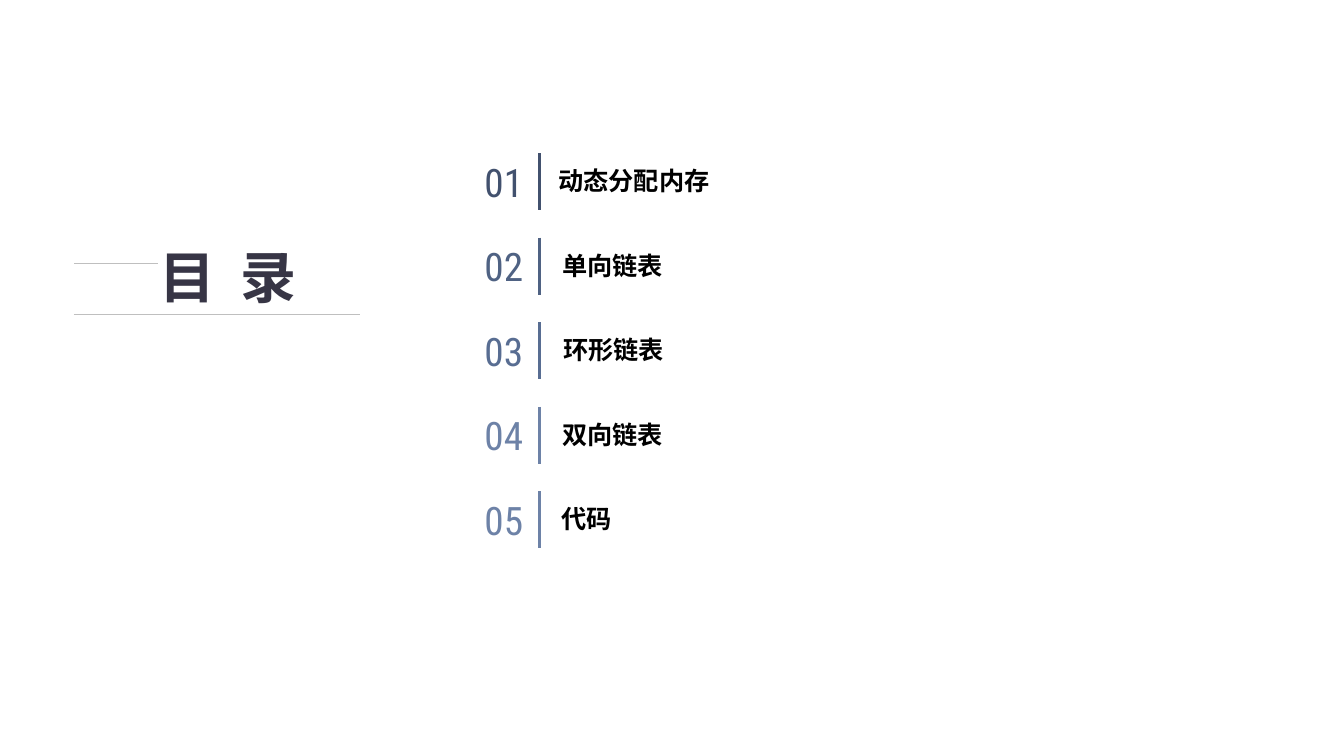
from pptx import Presentation
from pptx.dml.color import RGBColor
from pptx.enum.shapes import MSO_CONNECTOR as CONN
from pptx.enum.text import MSO_ANCHOR as ANCHOR
from pptx.util import Cm, Pt
from lxml import etree

GRAY = RGBColor(0xBF, 0xBF, 0xBF)
DARK = RGBColor(0x37, 0x35, 0x45)
BLACK = RGBColor(0, 0, 0)
NAVY = RGBColor(0x42, 0x51, 0x6E)
SLATE = RGBColor(0x4F, 0x62, 0x83)
STEEL = RGBColor(0x58, 0x6D, 0x92)
SKY = RGBColor(0x6D, 0x82, 0xA7)
A_NS = "http://schemas.openxmlformats.org/drawingml/2006/main"


def add_line(shapes, x1, y1, x2, y2, color, width):
    s = shapes.add_connector(CONN.STRAIGHT, Cm(x1), Cm(y1), Cm(x2), Cm(y2))
    s.line.color.rgb = color
    s.line.width = Pt(width)
    etree.SubElement(s._element.spPr, f"{{{A_NS}}}effectLst")


def add_text(shapes, text, box, font, size, color, bold=False, anchor=ANCHOR.MIDDLE):
    """Add a one-line text box; box is left, top, width, height in cm."""
    tf = shapes.add_textbox(*map(Cm, box)).text_frame
    tf.word_wrap = False
    tf.vertical_anchor = anchor
    p = tf.paragraphs[0]
    r = p.add_run()
    r.text = text
    r.font.name = font
    r.font.size = Pt(size)
    r.font.bold = bold
    r.font.color.rgb = color
    return tf


prs = Presentation()
prs.slide_width, prs.slide_height = Cm(33.87), Cm(19.05)
slide = prs.slides.add_slide(prs.slide_layouts[6])

# Heading between two thin rules
add_line(slide.shapes, 3.97, 6.64, 1.86, 6.64, GRAY, 0.5)
add_line(slide.shapes, 1.86, 7.92, 9.08, 7.92, GRAY, 0.5)
tf = add_text(slide.shapes, "目  录", (3.76, 6.16, 4.2, 1.83), "Arial", 40, DARK, True)
tf.paragraphs[0].line_spacing = 0.9

# Agenda: number, bar and label, with the left edge of each label
ROW_TOP, ROW_STEP, BAR_HEIGHT = 3.86, 2.13, 1.44
agenda = [
    ("动态分配内存", NAVY, 13.82),
    ("单向链表", SLATE, 13.92),
    ("环形链表", STEEL, 13.94),
    ("双向链表", SKY, 13.92),
    ("代码", SKY, 13.89),
]
for i, (label, color, label_left) in enumerate(agenda):
    top = ROW_TOP + i * ROW_STEP
    row = slide.shapes.add_group_shape().shapes
    tf = add_text(row, f"{i + 1:02}", (11.96, top + 0.08, 1.4, 1.27),
                  "Roboto Condensed", 28, color)
    tf.margin_right = 0
    add_line(row, 13.59, top, 13.59, top + BAR_HEIGHT, color, 2.25)
    add_text(row, label, (label_left, top + 0.23, 10.03, 0.97),
             "Arial", 18, BLACK, True, ANCHOR.BOTTOM)

prs.save("out.pptx")
